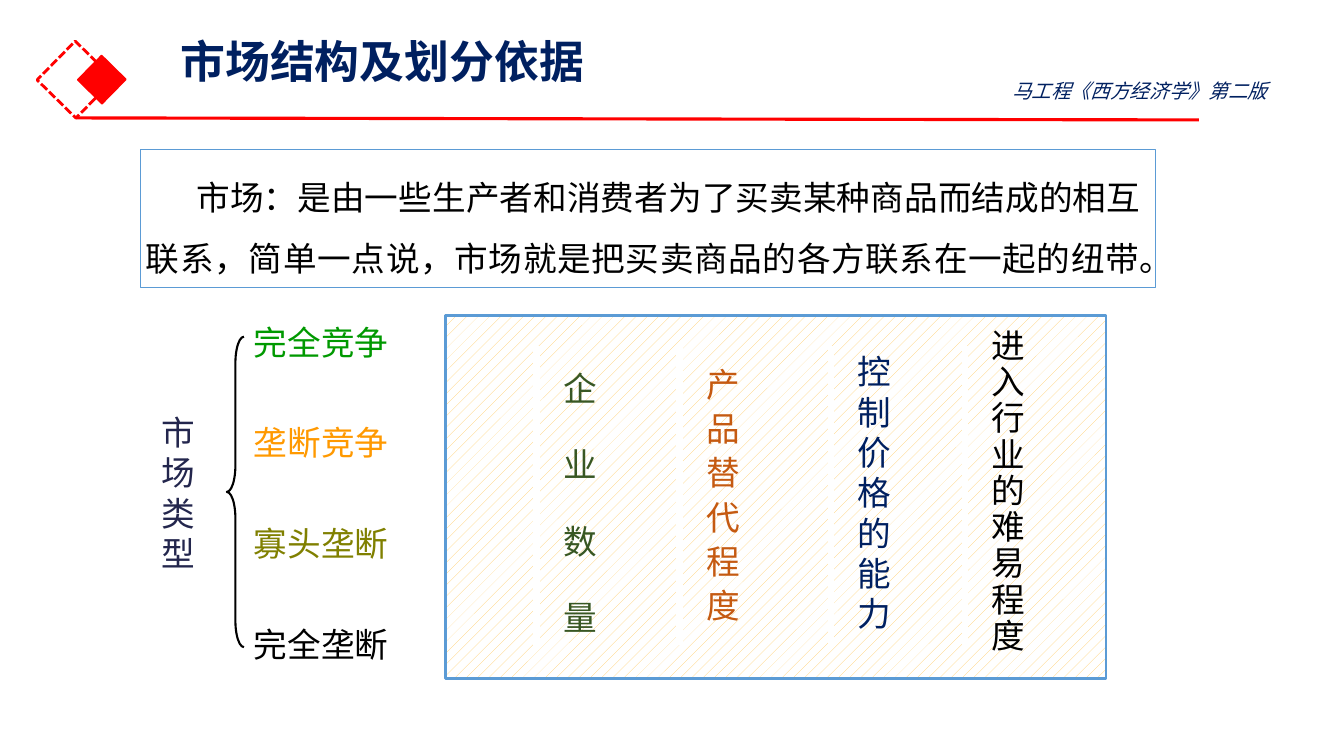
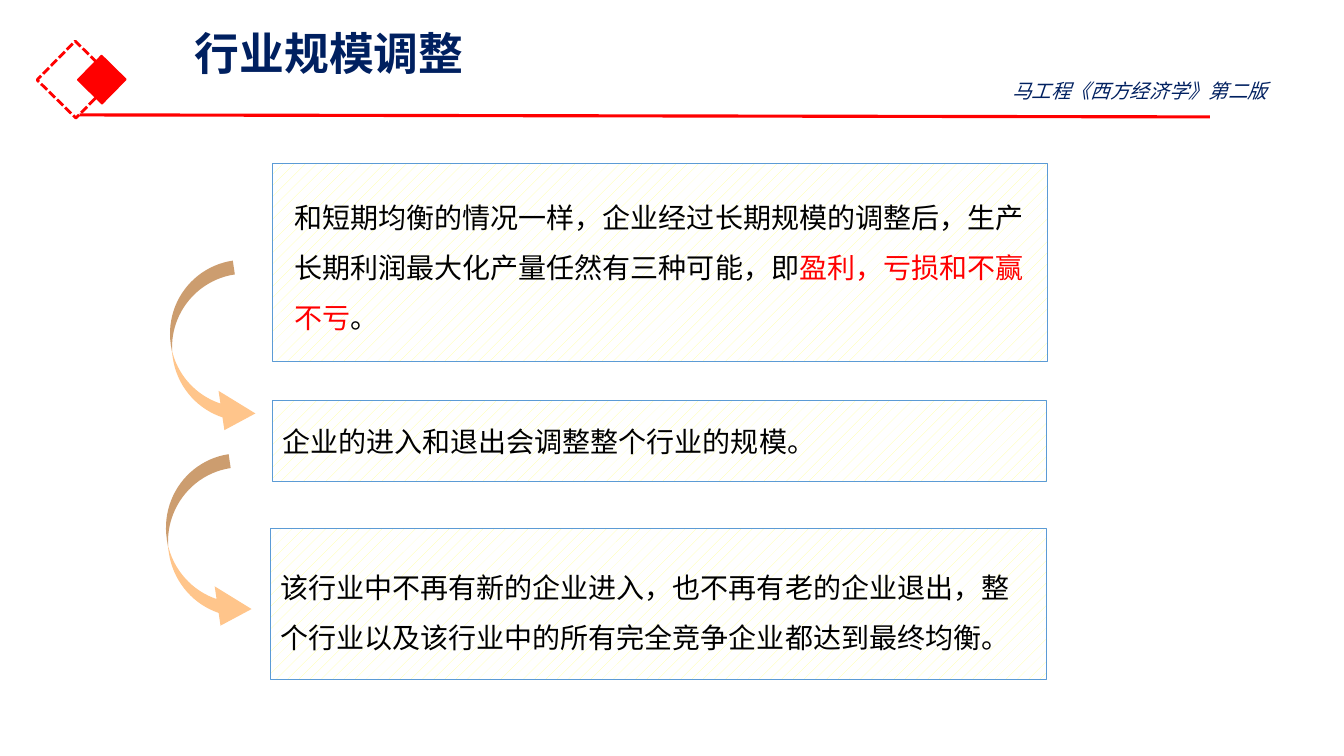
"""Build two lecture slides on market structure and industry size."""
from dataclasses import dataclass
from typing import Any

from lxml import etree
from pptx import Presentation
from pptx import util as u
from pptx.dml.color import RGBColor
from pptx.enum import dml, shapes, text
from pptx.oxml.ns import qn

SHAPE = shapes.MSO_SHAPE
ALIGN = text.PP_ALIGN
ANCHOR = text.MSO_ANCHOR
Area = tuple[int, int, int, int]
Point = tuple[int, int]


@dataclass(frozen=True)
class Theme:
    """Colours, font and type sizes of the deck."""
    font: str = "Noto Sans CJK SC"
    navy: str = "002060"
    red: str = "FF0000"
    blue: str = "5B9BD5"
    black: str = "000000"
    white: str = "FFFFFF"
    gold: str = "FFCC66"
    lemon: str = "FFFF99"
    peach: str = "FFC58B"
    ink: str = "23264D"
    head: int = 32
    large: int = 24
    body: int = 20
    small: int = 14


@dataclass(frozen=True)
class Label:
    """A short coloured text with its place and line spacing."""
    words: str
    left: int
    top: int
    tint: str
    lead: float = 1.0


@dataclass(frozen=True)
class Step:
    """A framed stage of the adjustment."""
    area: Area
    runs: tuple[tuple[str, str], ...] = ()
    lead: float = 1.0


T = Theme()

KINDS = [
    Label("完全竞争", 242, 318, "009900"),
    Label("垄断竞争", 242, 418, "FF9900"),
    Label("寡头垄断", 242, 518, "808000"),
    Label("完全垄断", 242, 618, T.black),
]
BASES = [
    Label("企业数量", 549, 318, "385723", 1.9),
    Label("产品替代程度", 691, 326, "C55A11", 1.1),
    Label("控制价格的能力", 841, 326, T.navy),
    Label("进入行业的难易程度", 974, 326, T.black, 0.9),
]
STEPS = [
    Step((270, 162, 769, 197)),
    Step((270, 397, 768, 81), (("企业的进入和退出会调整整个行业的规模。", T.black),)),
    Step((268, 524, 770, 150),
         (("该行业中不再有新的企业进入，也不再有老的企业退出，"
           "整个行业以及该行业中的所有完全竞争企业都达到最终均衡。", T.black),), 1.5),
]
BENDS: list[Area] = [(121, 313, 173, 73), (116, 506, 175, 73)]


def px(num: int) -> u.Emu:
    """Turn px into EMU at 100 px to the inch."""
    return u.Emu(num * 9144)


def rgb(code: str) -> RGBColor:
    """Read a hex colour."""
    return RGBColor.from_string(code)


def put(frame: Any, runs: tuple[tuple[str, str], ...], *, size: int = T.large,
        lead: float = 1.0, bold: bool = False, slant: bool = False,
        align: Any = ALIGN.LEFT, anchor: Any = ANCHOR.TOP,
        wrap: bool = True, inset: int = 5, first: int = 0) -> None:
    """Write one paragraph of coloured runs into a frame."""
    frame.word_wrap = wrap
    frame.auto_size = text.MSO_AUTO_SIZE.NONE
    frame.vertical_anchor = anchor
    frame.margin_left = frame.margin_right = px(10)
    frame.margin_top = frame.margin_bottom = px(inset)
    para = frame.paragraphs[0]
    para.alignment = align
    para.line_spacing = lead
    para.space_before = u.Pt(0)
    if first:
        para._p.get_or_add_pPr().set("indent", str(px(first)))
    for words, tint in runs:
        run = para.add_run()
        run.text = words
        font = run.font
        font.size, font.bold, font.italic = u.Pt(size), bold, slant
        font.color.rgb = rgb(tint)
        font.name = T.font
        etree.SubElement(run._r.get_or_add_rPr(), qn("a:ea"), typeface=T.font)


def note(slide: Any, area: Area, *runs: tuple[str, str], **form: Any) -> None:
    """Add a text box."""
    box = slide.shapes.add_textbox(*map(px, area))
    put(box.text_frame, runs, **form)


def draw(slide: Any, kind: Any, area: Area, *, fill: str = "", dots: str = "",
         line: str = "", width: float = 1, turn: float = 0) -> Any:
    """Add a preset shape with a plain, dotted or empty fill."""
    item = slide.shapes.add_shape(kind, *map(px, area))
    item.shadow.inherit = False
    item.rotation = turn
    if dots:
        item.fill.patterned()
        item.fill.pattern = dml.MSO_PATTERN.PERCENT_10
        item.fill.fore_color.rgb = rgb(dots)
        item.fill.back_color.rgb = rgb(T.white)
    elif fill:
        item.fill.solid()
        item.fill.fore_color.rgb = rgb(fill)
    else:
        item.fill.background()
    if line:
        item.line.color.rgb = rgb(line)
        item.line.width = u.Pt(width)
    else:
        item.line.fill.background()
    return item


def rule(slide: Any, start: Point, end: Point, tint: str, width: float) -> Any:
    """Add a straight line and return its outline."""
    item = slide.shapes.add_connector(
        shapes.MSO_CONNECTOR.STRAIGHT, *map(px, start + end))
    item.line.color.rgb = rgb(tint)
    item.line.width = u.Pt(width)
    etree.SubElement(item._element.spPr, qn("a:effectLst"))
    return item.line


def begin(deck: Any, title: str, spot: Point, start: Point, end: Point) -> Any:
    """Start a slide with its title, emblem, red rule and book name."""
    slide = deck.slides.add_slide(deck.slide_layouts[5])
    head = slide.shapes.title
    head.left, head.top = map(px, spot)
    head.width, head.height = px(1150), px(95)
    put(head.text_frame, ((title, T.navy),), size=T.head, bold=True,
        lead=0.9, inset=0)
    frame = draw(slide, SHAPE.RECTANGLE, (48, 52, 54, 54), line=T.red,
                 width=2, turn=314.5)
    frame.line.dash_style = dml.MSO_LINE.SQUARE_DOT
    draw(slide, SHAPE.RECTANGLE, (84, 62, 34, 34), fill=T.red, line=T.red,
         turn=314.5)
    rule(slide, start, end, T.red, 2.25)
    note(slide, (994, 73, 324, 34), ("马工程《西方经济学》第二版", T.navy),
         size=T.small, slant=True)
    return slide


def market(deck: Any) -> None:
    """Draw the market types and the criteria that divide them."""
    slide = begin(deck, "市场结构及划分依据", (169, 39), (75, 117), (1189, 119))
    draw(slide, SHAPE.RECTANGLE, (442, 313, 655, 360), dots=T.gold,
         line=T.blue, width=1.75)
    draw(slide, SHAPE.RECTANGLE, (139, 148, 1007, 137), line=T.blue, width=0.75)
    note(slide, (135, 151, 1006, 125),
         ("市场：是由一些生产者和消费者为了买卖某种商品而结成的相互联系，"
          "简单一点说，市场就是把买卖商品的各方联系在一起的纽带。", T.black),
         lead=1.5, align=ALIGN.JUSTIFY, first=50)
    note(slide, (150, 326, 67, 325), ("市场类型", T.ink), anchor=ANCHOR.MIDDLE)
    brace = draw(slide, SHAPE.LEFT_BRACE, (225, 334, 17, 308), line=T.black,
                 width=1.5)
    brace.adjustments[0] = 1.54
    brace.adjustments[1] = 0.5
    for kind in KINDS:
        note(slide, (kind.left, kind.top, 175, 42), (kind.words, kind.tint),
             anchor=ANCHOR.MIDDLE, wrap=False)
    for base in BASES:
        edge = base.left - 17
        rule(slide, (edge, 640), (edge, 343), T.white, 4.5)
        note(slide, (base.left, base.top, 42, 325), (base.words, base.tint),
             lead=base.lead, anchor=ANCHOR.MIDDLE)


def adjust(deck: Any) -> None:
    """Draw the three stages of industry adjustment."""
    slide = begin(deck, "行业规模调整", (183, 32), (79, 114), (1200, 116))
    for step in STEPS:
        box = draw(slide, SHAPE.ACTION_BUTTON_CUSTOM, step.area, dots=T.lemon,
                   line=T.blue, width=0.75)
        if step.runs:
            put(box.text_frame, step.runs, size=T.body, lead=step.lead,
                anchor=ANCHOR.MIDDLE)
    note(slide, (282, 177, 769, 156),
         ("和短期均衡的情况一样，企业经过长期规模的调整后，"
          "生产长期利润最大化产量任然有三种可能，即", T.black),
         ("盈利，亏损和不赢不亏", T.red), ("。", T.black),
         size=T.body, lead=1.5)
    for area in BENDS:
        bend = draw(slide, SHAPE.CURVED_DOWN_ARROW, area, fill=T.peach, turn=81.6)
        bend._element.spPr.find(qn("a:xfrm")).set("flipV", "1")
        for spot, value in enumerate((0.19, 0.54, 0.45)):
            bend.adjustments[spot] = value


def main() -> None:
    """Build and save the deck."""
    deck = Presentation()
    deck.slide_width, deck.slide_height = px(1333), px(750)
    market(deck)
    adjust(deck)
    deck.save("out.pptx")


if __name__ == "__main__":
    main()
